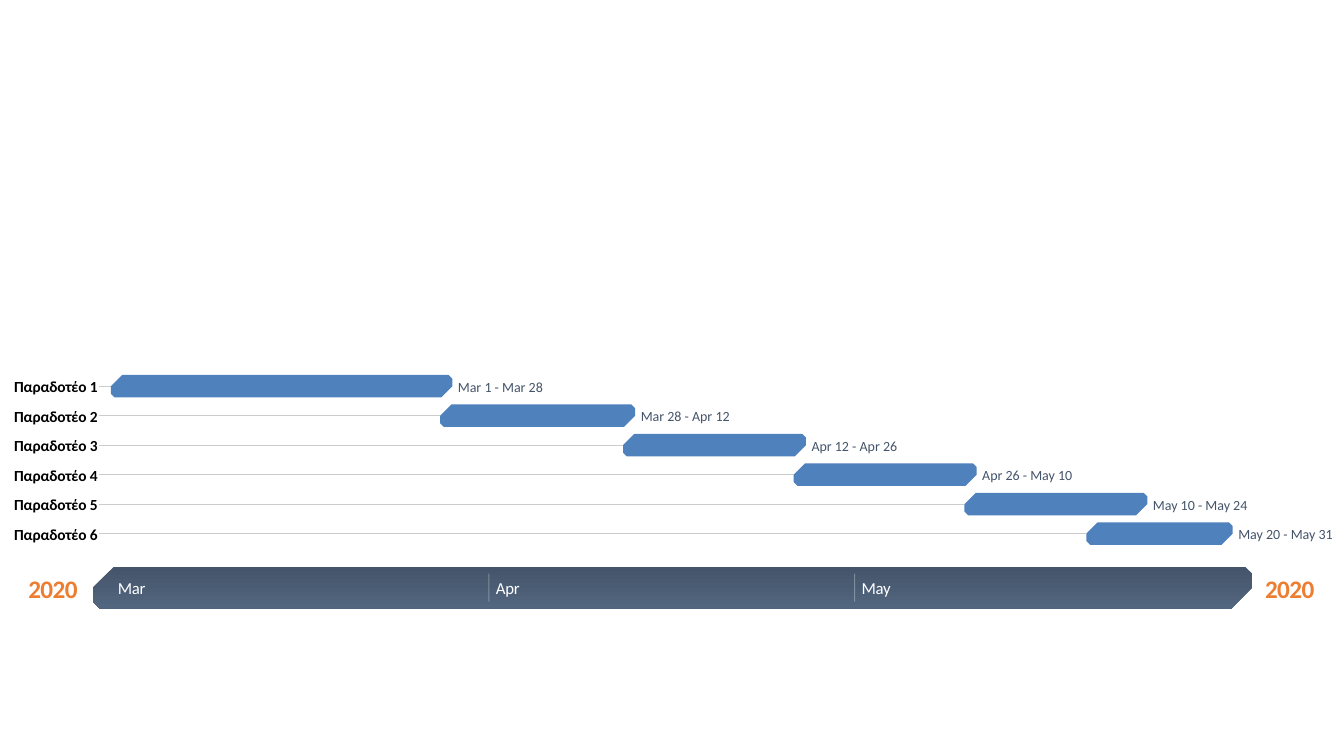
import dataclasses

import lxml.etree
import pptx
import pptx.dml.color
import pptx.enum.shapes
import pptx.enum.text
import pptx.oxml
import pptx.oxml.ns
import pptx.util

Pt = pptx.util.Pt
RGB = pptx.dml.color.RGBColor.from_string
ALIGN = pptx.enum.text.PP_ALIGN


@dataclasses.dataclass(frozen=True)
class Style:
    """Colours and type of one kind of text."""
    size: int
    color: str
    bold: bool = False
    track: int = 0


class Theme:
    """Colours, font and text styles of the slide."""
    font = "Calibri"
    bar = "4F81BD"
    band = ("44546A", "52667F")
    guide = "CCCCCC"
    tick = "FFFFFF"
    year = Style(18, "ED7D31", True, -40)
    month = Style(12, "FFFFFF", False, -20)
    task = Style(11, "000000", True, -10)
    dates = Style(10, "44546A")


# Days from 1 March to the first of each month
MONTHS = {"Mar": 0, "Apr": 31, "May": 61}
# Start, end and width of the date text
TASKS = [
    ("Mar 1", "Mar 28", 61.2),
    ("Mar 28", "Apr 12", 64),
    ("Apr 12", "Apr 26", 62),
    ("Apr 26", "May 10", 65),
    ("May 10", "May 24", 67.7),
    ("May 20", "May 31", 67.7),
]
LEFT, DAY = 79.2, 8.71
ROW, STEP, BAR = 275.9, 21.05, 16.1
BAND_X, BAND_Y, BAND_W, BAND_H = 66.4, 404.8, 828, 30
MID = BAND_Y + BAND_H / 2


def place(date):
    """Return the x of the start of a day such as 'Apr 12'."""
    month, day = date.split()
    return LEFT + DAY * (MONTHS[month] + int(day) - 1)


def add_text(slide, words, x, mid, wide, high, style, wrap=True,
             align=ALIGN.LEFT):
    """Add one line of text centred on the height mid."""
    box = slide.shapes.add_textbox(Pt(x), Pt(mid - high / 2), Pt(wide), Pt(high))
    frame = box.text_frame
    frame.text = words
    frame.word_wrap = wrap
    frame.auto_size = pptx.enum.text.MSO_AUTO_SIZE.SHAPE_TO_FIT_TEXT
    frame.vertical_anchor = pptx.enum.text.MSO_ANCHOR.MIDDLE
    frame.margin_left = frame.margin_right = 0
    frame.margin_top = frame.margin_bottom = 0
    para = frame.paragraphs[0]
    para.alignment = align
    run = para.runs[0]
    run.font.name = Theme.font
    run.font.size = Pt(style.size)
    run.font.bold = style.bold
    run.font.color.rgb = RGB(style.color)
    if style.track:
        run._r.get_or_add_rPr().set("spc", str(style.track))


def add_line(slide, x1, y1, x2, y2, color, alpha=None):
    """Add a thin straight line, see-through if alpha is given in percent."""
    line = slide.shapes.add_connector(
        pptx.enum.shapes.MSO_CONNECTOR.STRAIGHT, Pt(x1), Pt(y1), Pt(x2), Pt(y2))
    line.line.width = Pt(0.75)
    line.line.color.rgb = RGB(color)
    name = pptx.oxml.ns.qn
    props = line._element.spPr
    lxml.etree.SubElement(props, name("a:effectLst"))
    if alpha:
        paint = next(props.iter(name("a:srgbClr")))
        lxml.etree.SubElement(paint, name("a:alpha"), val=str(alpha * 1000))


def add_snip(slide, x, y, wide, high, *colors):
    """Add a bar with cut corners, in one colour or a downward gradient."""
    bar = slide.shapes.add_shape(
        pptx.enum.shapes.MSO_SHAPE.SNIP_2_DIAG_RECTANGLE,
        Pt(x), Pt(y), Pt(wide), Pt(high))
    bar.adjustments[0] = 1
    bar.adjustments[1] = 0.167
    bar.shadow.inherit = False
    bar.line.fill.background()
    if len(colors) == 1:
        bar.fill.solid()
        bar.fill.fore_color.rgb = RGB(colors[0])
        return
    bar.fill.gradient()
    bar.fill.gradient_angle = 270
    for stop, color in zip(bar.fill.gradient_stops, colors):
        stop.color.rgb = RGB(color)


def add_scale(slide):
    """Add the band of months with the year at both ends."""
    for x in (20.2, 903.6):
        add_text(slide, "2020", x, 420.1, 35.3, 22, Theme.year, False,
                 ALIGN.CENTER)
    add_snip(slide, BAND_X, BAND_Y, BAND_W, BAND_H, *Theme.band)
    for month, wide in zip(MONTHS, (20.2, 17.3, 20.9)):
        x = place(month + " 1")
        add_text(slide, month, x + 5, MID, wide, 14.4, Theme.month, False)
        if MONTHS[month]:
            add_line(slide, x, MID - 10, x, MID + 10, Theme.tick, 30)


def add_task(slide, index, start, end, wide):
    """Add one row: label, guide line, bar and dates."""
    mid = ROW + STEP * index
    left, right = place(start), place(end) + DAY
    add_line(slide, 70.6, mid, left, mid, Theme.guide)
    add_snip(slide, left, mid - BAR / 2, right - left, BAR, Theme.bar)
    add_text(slide, f"{start} - {end}", right + 4, mid + 0.3, wide, 12.2,
             Theme.dates)
    add_text(slide, f"Παραδοτέο {index + 1}", 10, mid + 0.3, 61.2, 13.5,
             Theme.task)


def main():
    """Build and save the slide."""
    deck = pptx.Presentation()
    deck.slide_width, deck.slide_height = Pt(960), Pt(540)
    slide = deck.slides.add_slide(deck.slide_layouts.get_by_name("Blank"))
    add_scale(slide)
    for index, task in enumerate(TASKS):
        add_task(slide, index, *task)
    deck.save("out.pptx")


main()
